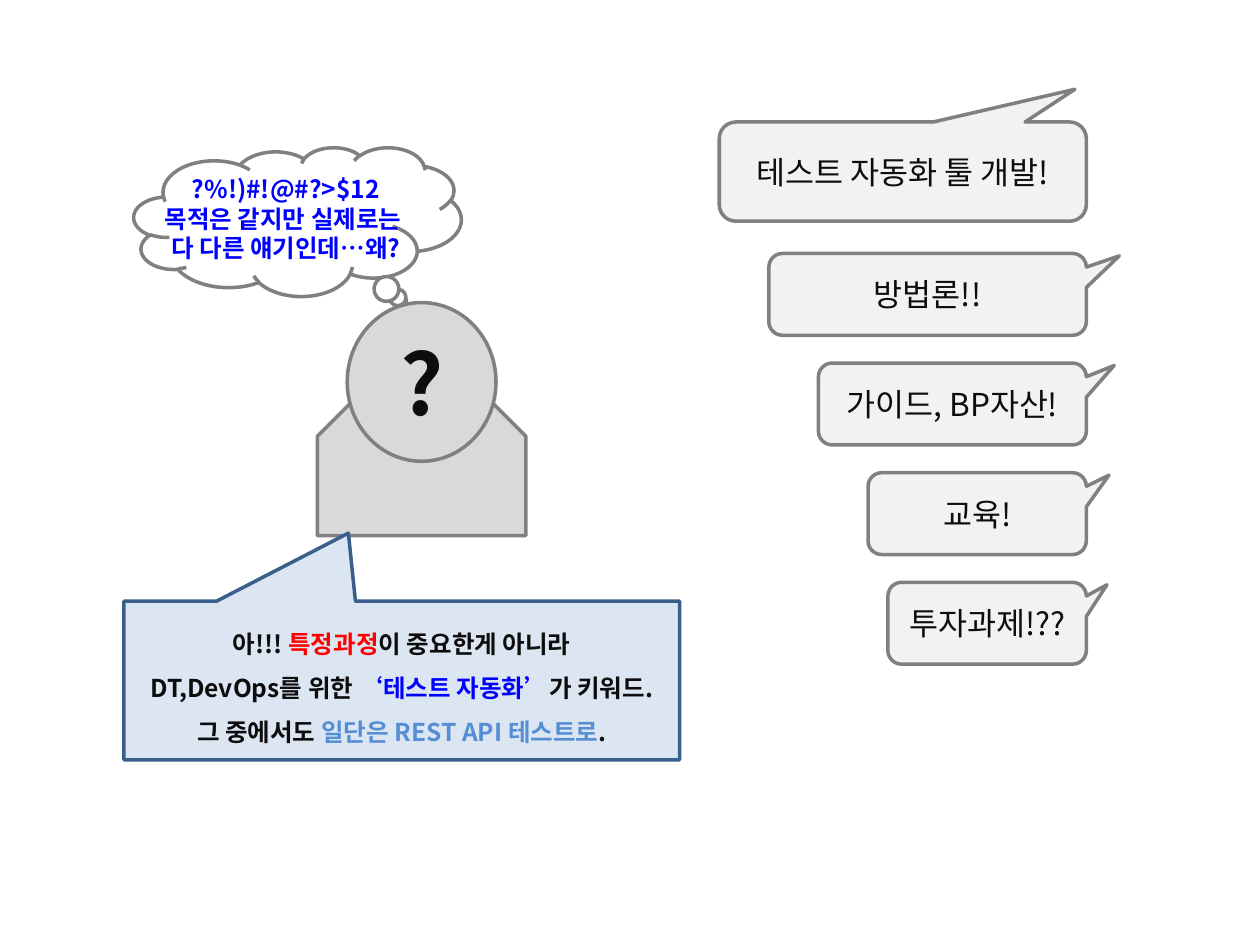
from lxml import etree
from pptx import Presentation
from pptx.dml.color import RGBColor
from pptx.enum.shapes import MSO_SHAPE
from pptx.enum.text import MSO_ANCHOR, PP_ALIGN
from pptx.oxml.ns import qn
from pptx.util import Cm, Pt

BODY = MSO_SHAPE.SNIP_2_SAME_RECTANGLE
HEAD = MSO_SHAPE.OVAL
SPEECH = MSO_SHAPE.ROUNDED_RECTANGULAR_CALLOUT
THOUGHT = MSO_SHAPE.CLOUD_CALLOUT
ANSWER = MSO_SHAPE.RECTANGULAR_CALLOUT
MIDDLE = MSO_ANCHOR.MIDDLE
CENTER = PP_ALIGN.CENTER

FONT = "Noto Sans CJK KR"
COLORS = {
    "ink": "0D0D0D", "outline": "808080", "person": "D9D9D9", "speech": "F2F2F2",
    "white": "FFFFFF", "answer": "DCE6F2", "answer_line": "3A5F8C",
    "blue": "0000FF", "red": "FF0000", "sky": "558ED5",
}

MAIN_IDEA = "테스트 자동화 툴 개발!"
IDEAS = [("방법론!!", 6.4), ("가이드, BP자산!", 5.4), ("교육!", 4.4), ("투자과제!??", 4.0)]
IDEAS_RIGHT, IDEAS_TOP, IDEAS_PITCH, IDEA_HEIGHT = 21.9, 5.11, 2.21, 1.65

QUESTION = [[("?", "ink")]]
CONFUSION = [
    [("?%!)#!@#?>$12", "blue")],
    [("목적은 같지만 실제로는 ", "blue")],
    [("다 다른 얘기인데…왜?", "blue")],
]
CONCLUSION = [
    [("아!!! ", "ink"), ("특정과정", "red"), ("이 중요한게 아니라", "ink")],
    [("DT,DevOps를 위한 ", "ink"), ("‘테스트 자동화’", "blue"), ("가 키워드.", "ink")],
    [("그 중에서도 ", "ink"), ("일단은 REST API 테스트로", "sky"), (".", "ink")],
]


def color(name):
    return RGBColor.from_string(COLORS[name])


def add_box(page, kind, place, fill, line="outline", adjustments=()):
    box = page.shapes.add_shape(kind, *(Cm(length) for length in place))
    box.shadow.inherit = False
    for index, value in enumerate(adjustments):
        box.adjustments[index] = value
    box.fill.solid()
    box.fill.fore_color.rgb = color(fill)
    box.line.color.rgb = color(line)
    box.line.width = Pt(2)
    return box


def write(box, lines, size, bold=True, wrap=True, spacing=1.0):
    frame = box.text_frame
    frame.word_wrap = wrap
    frame.vertical_anchor = MIDDLE
    frame.margin_left = frame.margin_right = Cm(0.1)
    frame.text = "\n".join("" for _ in lines)
    for para, spans in zip(frame.paragraphs, lines):
        para.alignment = CENTER
        para.line_spacing = spacing
        for text, ink in spans:
            span = para.add_run()
            span.text = text
            span.font.name = FONT
            span.font.size = Pt(size)
            span.font.bold = bold
            span.font.color.rgb = color(ink)
            east_asian = etree.SubElement(span.font._element, qn("a:ea"))
            east_asian.set("typeface", FONT)


def add_idea(page, text, width, top, height, tail):
    place = (IDEAS_RIGHT - width, top, width, height)
    box = add_box(page, SPEECH, place, "speech", adjustments=(*tail, 0.167))
    write(box, [[(text, "ink")]], 18, bold=False)


def main():
    deck = Presentation()
    deck.slide_width, deck.slide_height = Cm(25.4), Cm(19.05)
    page = deck.slides.add_slide(deck.slide_layouts[6])

    add_box(page, BODY, (6.4, 7.9, 4.2, 2.9), "person", adjustments=(0.308, 0))
    head = add_box(page, HEAD, (7, 6.1, 3, 3.2), "person")
    write(head, QUESTION, 48)

    add_idea(page, MAIN_IDEA, 7.4, 2.46, 2, (0.469, -0.83))
    thought = add_box(page, THOUGHT, (2.7, 2.97, 6.6, 3), "white", adjustments=(0.32, 0.533))
    write(thought, CONFUSION, 14, wrap=False)
    for row, (text, width) in enumerate(IDEAS):
        add_idea(page, text, width, IDEAS_TOP + row * IDEAS_PITCH, IDEA_HEIGHT, (0.604, -0.47))

    answer = add_box(page, ANSWER, (2.5, 12.12, 11.2, 3.2), "answer", "answer_line", (-0.096, -0.929))
    write(answer, CONCLUSION, 14, wrap=False, spacing=1.5)

    deck.save("out.pptx")


if __name__ == "__main__":
    main()
